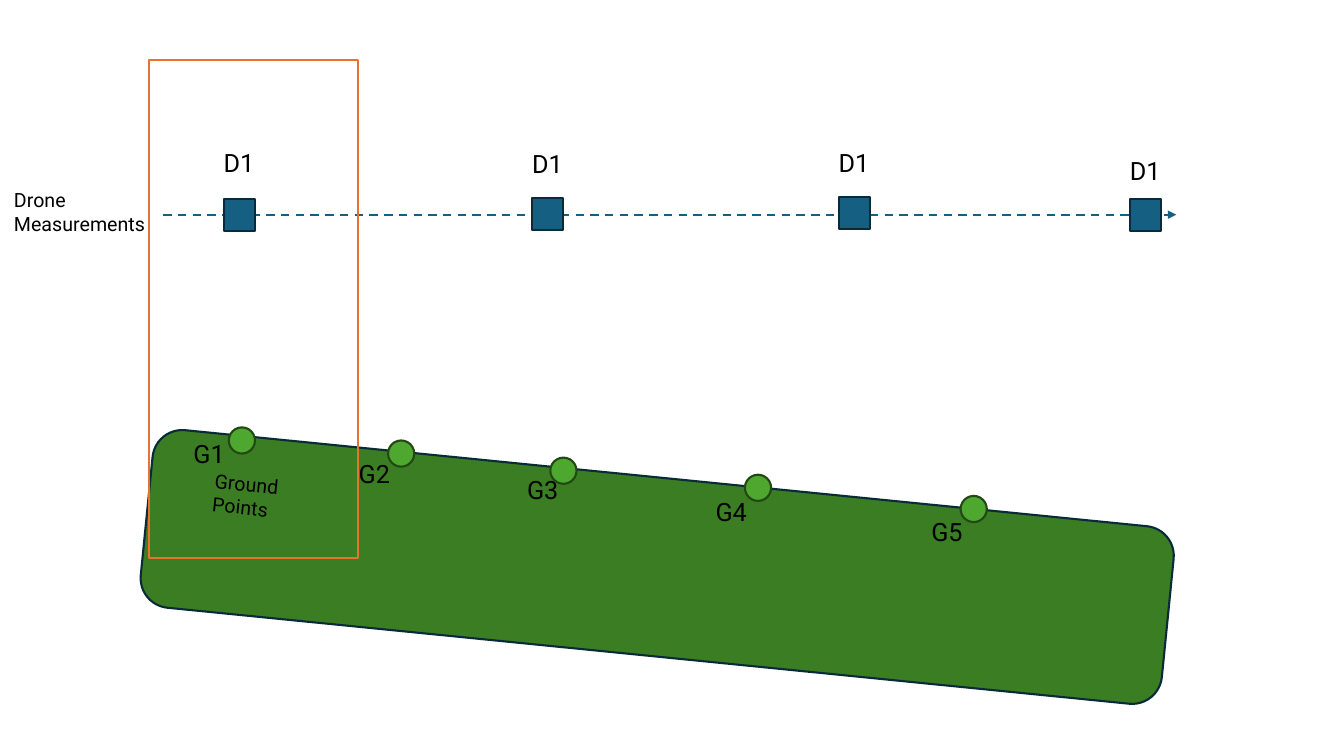
from dataclasses import dataclass

from lxml.etree import SubElement as Sub
from pptx import Presentation
from pptx.dml.color import RGBColor as Rgb
from pptx.enum.dml import MSO_LINE_DASH_STYLE as Dash
from pptx.enum.shapes import MSO_CONNECTOR as Link
from pptx.enum.shapes import MSO_SHAPE as Form
from pptx.oxml.ns import qn
from pptx.util import Inches, Pt

UNIT = Inches(0.1)
COLS, ROWS = 133.33, 75
FONT = "Roboto"
HUES = {
    "black": "000000",
    "navy": "092A39",
    "blue": "156082",
    "grass": "3B7D23",
    "lime": "4EA72E",
    "moss": "224914",
    "orange": "E97132",
}


@dataclass(frozen=True)
class Box:
    col: float
    row: float
    wide: float
    high: float
    turn: float = 0


@dataclass(frozen=True)
class Mark:
    name: str
    col: float
    row: float
    text_col: float
    text_row: float


@dataclass(frozen=True)
class Style:
    form: Form
    fill: str
    line: str
    wide: float
    high: float


DRONE = Style(Form.RECTANGLE, "blue", "navy", 3.1, 3.2)
POINT = Style(Form.OVAL, "lime", "moss", 2.6, 2.6)

DRONES = [
    Mark("D1", 22.2, 19.7, 21.2, 14.1),
    Mark("D1", 52.8, 19.6, 51.8, 14.2),
    Mark("D1", 83.2, 19.5, 82.2, 14.1),
    Mark("D1", 112.1, 19.7, 111.1, 14.9),
]
POINTS = [
    Mark("G1", 22.7, 42.4, 18.2, 43),
    Mark("G2", 38.5, 43.7, 34.6, 45),
    Mark("G3", 54.6, 45.4, 51.3, 46.6),
    Mark("G4", 73.9, 47.1, 70, 48.7),
    Mark("G5", 95.3, 49.2, 91.4, 50.7),
]


def span(size: float) -> int:
    return round(size * UNIT)


def place(box: Box) -> list[int]:
    return [span(size) for size in (box.col, box.row, box.wide, box.high)]


def hue(name: str) -> Rgb:
    return Rgb.from_string(HUES[name])


def draw(slide, form: Form, box: Box, line: str, fill: str = "") -> None:
    shape = slide.shapes.add_shape(form, *place(box))
    shape.shadow.inherit = False
    shape.rotation = box.turn
    if fill:
        shape.fill.solid()
        shape.fill.fore_color.rgb = hue(fill)
    else:
        shape.fill.background()
    shape.line.color.rgb = hue(line)
    shape.line.width = Pt(1.5)


def write(slide, text: str, box: Box, *, size: float = 18, wrap: bool = False) -> None:
    shape = slide.shapes.add_textbox(*place(box))
    shape.rotation = box.turn
    frame = shape.text_frame
    frame.word_wrap = wrap
    run = frame.paragraphs[0].add_run()
    run.text = text
    run.font.name = FONT
    run.font.size = Pt(size)
    run.font.color.rgb = hue("black")


def route(slide, start: float, end: float, row: float) -> None:
    line = slide.shapes.add_connector(
        Link.STRAIGHT, span(start), span(row), span(end), span(row)
    )
    line.line.color.rgb = hue("blue")
    line.line.width = Pt(1.5)
    line.line.dash_style = Dash.DASH
    props = line._element.spPr
    Sub(props.find(qn("a:ln")), qn("a:tailEnd"), type="triangle")
    Sub(props, qn("a:effectLst"))


def plot(slide, marks: list[Mark], style: Style) -> None:
    for mark in marks:
        box = Box(mark.col, mark.row, style.wide, style.high)
        draw(slide, style.form, box, style.line, style.fill)


def label(slide, marks: list[Mark]) -> None:
    for mark in marks:
        write(slide, mark.name, Box(mark.text_col, mark.text_row, 5.2, 4))


def main() -> None:
    deck = Presentation()
    deck.slide_width, deck.slide_height = span(COLS), span(ROWS)
    slide = deck.slides.add_slide(deck.slide_layouts[6])

    ground = Box(14.3, 47.4, 101.8, 17.7, 5.7)
    draw(slide, Form.ROUNDED_RECTANGLE, ground, "navy", "grass")
    route(slide, 16.2, 116.7, 21.3)
    plot(slide, DRONES, DRONE)
    plot(slide, POINTS, POINT)
    label(slide, POINTS)
    label(slide, DRONES)
    write(slide, "Drone Measurements", Box(0.4, 18.2, 16, 5.7), size=14, wrap=True)
    write(slide, "Ground Points", Box(20.2, 46.4, 10, 5.7, 6), size=14, wrap=True)
    draw(slide, Form.RECTANGLE, Box(14.8, 6, 20.7, 49.4), "orange")

    deck.save("out.pptx")


if __name__ == "__main__":
    main()
